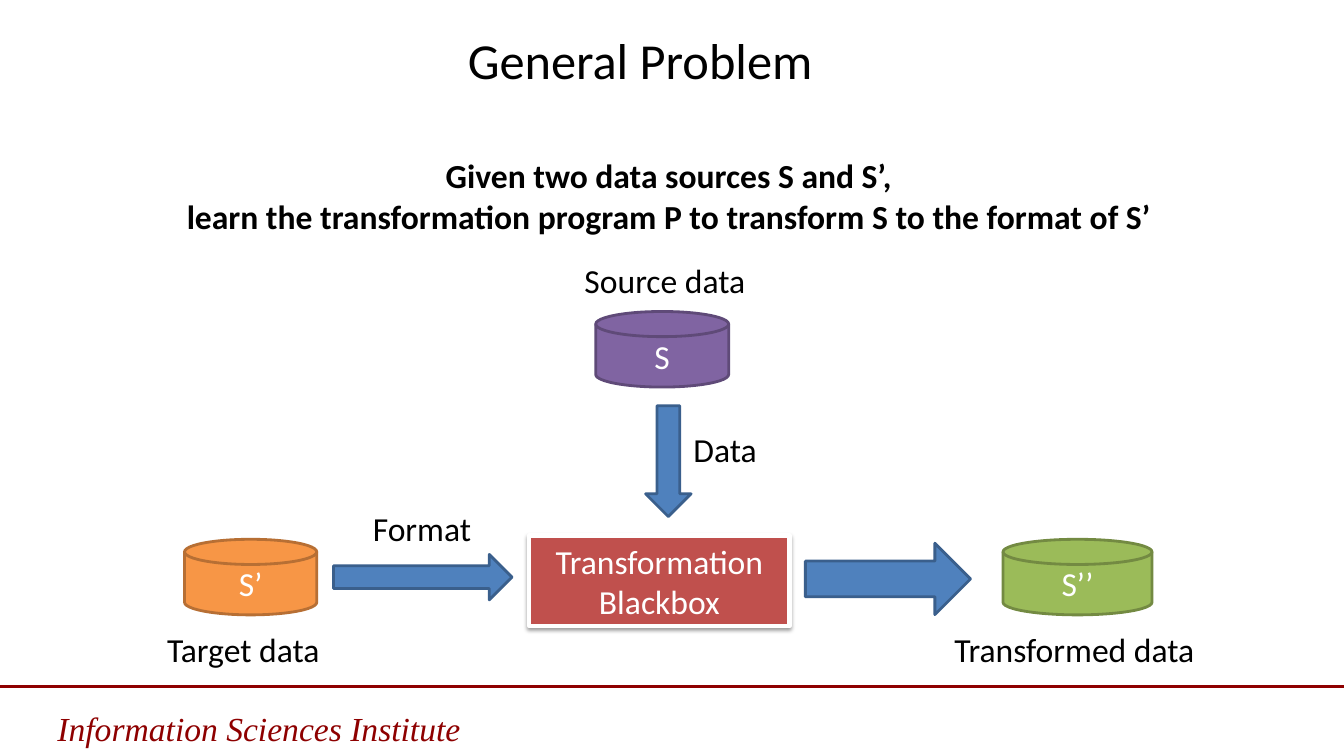
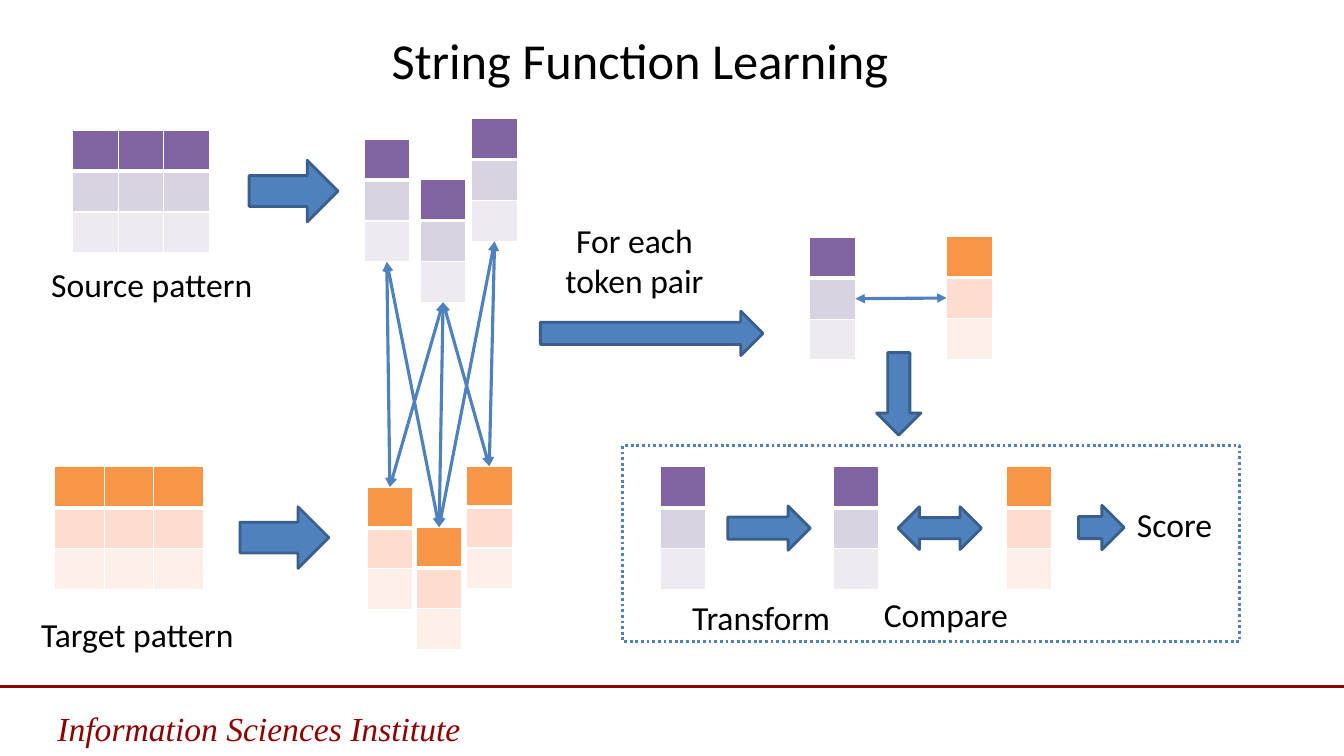
"""Build two slides that explain learning data transformations."""
from dataclasses import dataclass
from itertools import product
from typing import Any, NamedTuple

from lxml import etree
from pptx import Presentation
from pptx import util as u
from pptx.dml.color import RGBColor
from pptx.enum import dml, shapes, text
from pptx.oxml import ns

Pt = u.Pt
Kind = shapes.MSO_SHAPE


@dataclass(frozen=True)
class Theme:
    """Colours and sizes used on every slide."""

    black: str = "000000"
    white: str = "FFFFFF"
    maroon: str = "8E0000"
    blue: str = "4F81BD"
    blue_edge: str = "3A5F8C"
    red: str = "C0504D"
    purple: str = "8064A2"
    purple_edge: str = "5F4A78"
    orange: str = "F79646"
    orange_edge: str = "B76F34"
    green: str = "9BBB59"
    green_edge: str = "738A42"
    source_rows: tuple[str, ...] = ("8064A2", "D8D3E0", "EDEAF0")
    target_rows: tuple[str, ...] = ("F79646", "FCDDCF", "FDEFE9")
    font: str = "Calibri"
    footer_font: str = "Times New Roman"
    title_size: float = 36
    body_size: float = 24
    outline: float = 2
    connector: float = 2.25


THEME = Theme()
SLIDE_WIDTH, SLIDE_HEIGHT = 960, 540
CELL_WIDTH, CELL_HEIGHT = 32.6, 29.25
COLUMN_HEIGHT = 3 * CELL_HEIGHT


class Box(NamedTuple):
    """A rectangle in points."""

    left: float
    top: float
    width: float
    height: float

    def lengths(self) -> list[u.Length]:
        """Return the four values as lengths."""
        return [Pt(value) for value in self]


class Point(NamedTuple):
    """A position in points."""

    x: float
    y: float


@dataclass(frozen=True)
class Disk:
    """A labelled data store."""

    label: str
    box: Box
    fill: str
    edge: str


@dataclass(frozen=True)
class Arrow:
    """A block arrow."""

    box: Box
    kind: Any = Kind.RIGHT_ARROW
    rotation: float = 0


@dataclass(frozen=True)
class Label:
    """A caption in body type."""

    words: str
    box: Box
    centred: bool = False
    bold: bool = False
    wrap: bool = True


def colour(code: str) -> RGBColor:
    """Turn a hex code into a colour."""
    return RGBColor.from_string(code)


def add_element(parent: Any, tag: str, **attributes: Any) -> Any:
    """Append a drawing element to a parent."""
    values = {name: str(value) for name, value in attributes.items()}
    return etree.SubElement(parent, ns.qn(tag), values)


def write_text(frame: Any, words: str, *, size: float = THEME.body_size,
               font: str = THEME.font, ink: str = THEME.black,
               bold: bool = False, italic: bool = False,
               centred: bool = False, middle: bool = False,
               wrap: bool = True, grow: bool = False) -> None:
    """Write formatted lines as paragraphs of a text frame."""
    frame.word_wrap = wrap
    frame.auto_size = (text.MSO_AUTO_SIZE.SHAPE_TO_FIT_TEXT if grow
                       else text.MSO_AUTO_SIZE.NONE)
    frame.vertical_anchor = (text.MSO_ANCHOR.MIDDLE if middle
                             else text.MSO_ANCHOR.TOP)
    frame.text = words
    for paragraph in frame.paragraphs:
        paragraph.alignment = (text.PP_ALIGN.CENTER if centred
                               else text.PP_ALIGN.LEFT)
        for run in paragraph.runs:
            run.font.name, run.font.size = font, Pt(size)
            run.font.bold, run.font.italic = bold, italic
            run.font.color.rgb = colour(ink)


def add_text(slide: Any, box: Box, words: str, **text_format: Any) -> None:
    """Add a text box."""
    shape = slide.shapes.add_textbox(*box.lengths())
    write_text(shape.text_frame, words, **text_format)


def add_label(slide: Any, label: Label) -> None:
    """Add a caption."""
    add_text(slide, label.box, label.words, centred=label.centred,
             bold=label.bold, wrap=label.wrap, grow=True)


def add_block(slide: Any, kind: Any, box: Box, fill: str | None, edge: str,
              width: float = THEME.outline) -> Any:
    """Add a preset shape without a shadow."""
    shape = slide.shapes.add_shape(kind, *box.lengths())
    shape.shadow.inherit = False
    if fill is None:
        shape.fill.background()
    else:
        shape.fill.solid()
        shape.fill.fore_color.rgb = colour(fill)
    shape.line.color.rgb = colour(edge)
    shape.line.width = Pt(width)
    return shape


def add_disk(slide: Any, disk: Disk) -> None:
    """Add a labelled data store."""
    shape = add_block(slide, Kind.FLOWCHART_MAGNETIC_DISK, disk.box,
                      disk.fill, disk.edge)
    write_text(shape.text_frame, disk.label, ink=THEME.white,
               centred=True, middle=True)


def add_arrow(slide: Any, arrow: Arrow) -> None:
    """Add a block arrow."""
    shape = add_block(slide, arrow.kind, arrow.box, THEME.blue, THEME.blue_edge)
    shape.rotation = arrow.rotation


def add_blackbox(slide: Any, box: Box) -> None:
    """Add the transformation box with its soft shadow."""
    shape = add_block(slide, Kind.RECTANGLE, box, THEME.red, THEME.white, 3)
    write_text(shape.text_frame, "Transformation\nBlackbox",
               ink=THEME.white, centred=True, middle=True)
    effects = shape._element.spPr.find(ns.qn("a:effectLst"))
    shadow = add_element(effects, "a:outerShdw", blurRad=Pt(3.1), dist=Pt(1.6),
                         dir=5400000, rotWithShape=0)
    shade = add_element(shadow, "a:srgbClr", val=THEME.black)
    add_element(shade, "a:alpha", val=38000)


def add_line(slide: Any, start: Point, end: Point, ink: str,
             arrowheads: bool = False) -> None:
    """Add a straight line, optionally with arrowheads at both ends."""
    line = slide.shapes.add_connector(
        shapes.MSO_CONNECTOR.STRAIGHT, *(Pt(value) for value in start + end))
    line.line.color.rgb = colour(ink)
    line.line.width = Pt(THEME.connector)
    if arrowheads:
        for tag in ("a:headEnd", "a:tailEnd"):
            add_element(line.line._get_or_add_ln(), tag, type="triangle")
    add_element(line._element.spPr, "a:effectLst")


def add_grid(slide: Any, corner: Point, row_fills: tuple[str, ...],
             columns: int = 1, cell_width: float = CELL_WIDTH) -> None:
    """Add an empty table with one fill per row and white borders."""
    box = Box(*corner, columns * cell_width, len(row_fills) * CELL_HEIGHT)
    table = slide.shapes.add_table(len(row_fills), columns, *box.lengths()).table
    table.horz_banding = False
    for column in table.columns:
        column.width = Pt(cell_width)
    for index, (row, fill) in enumerate(zip(table.rows, row_fills)):
        row.height = Pt(CELL_HEIGHT)
        widths = {"L": 1, "R": 1, "T": 3 if index == 1 else 1,
                  "B": 3 if index == 0 else 1}
        for cell in row.cells:
            properties = cell._tc.get_or_add_tcPr()
            for side, width in widths.items():
                border = add_element(properties, f"a:ln{side}", w=Pt(width))
                paint = add_element(border, "a:solidFill")
                add_element(paint, "a:srgbClr", val=THEME.white)
            cell.fill.solid()
            cell.fill.fore_color.rgb = colour(fill)


def add_slide(presentation: Any, title: str) -> Any:
    """Add a slide with the shared rule, footer and title."""
    slide = presentation.slides.add_slide(presentation.slide_layouts[6])
    add_line(slide, Point(0, 490.3), Point(SLIDE_WIDTH, 490.3), THEME.maroon)
    add_text(slide, Box(34, 502, 473, 36.5), "Information Sciences Institute",
             font=THEME.footer_font, ink=THEME.maroon, italic=True, grow=True)
    add_text(slide, Box(48, 17.3, 818.6, 50.4), title,
             size=THEME.title_size, centred=True, middle=True)
    return slide


def build_problem(presentation: Any) -> None:
    """Draw the general problem."""
    slide = add_slide(presentation, "General Problem")
    for disk in (
        Disk("S", Box(425.5, 222.5, 95, 54), THEME.purple, THEME.purple_edge),
        Disk("S’", Box(131.8, 385.2, 94.5, 54), THEME.orange, THEME.orange_edge),
        Disk("S’’", Box(716.4, 385.2, 106.5, 54), THEME.green, THEME.green_edge),
    ):
        add_disk(slide, disk)
    for arrow in (
        Arrow(Box(238.3, 396, 127.5, 32.5)),
        Arrow(Box(437.8, 313.2, 79.2, 32.5), rotation=90),
        Arrow(Box(575.3, 388, 118, 51)),
    ):
        add_arrow(slide, arrow)
    add_blackbox(slide, Box(378, 382.5, 186, 64.8))
    statement = ("Given two data sources S and S’, \n"
                 "learn the transformation program P to transform S "
                 "to the format of S’ ")
    for label in (
        Label(statement, Box(17.3, 107.3, 926, 65.5), centred=True, bold=True),
        Label("Source data", Box(410.4, 182.2, 134, 36)),
        Label("Target data", Box(112.3, 445.7, 134, 36)),
        Label("Transformed data", Box(674.6, 445.7, 214.5, 36)),
        Label("Format", Box(259.2, 359.3, 85, 36), wrap=False),
        Label("Data", Box(488.2, 303.1, 60.5, 36), wrap=False),
    ):
        add_label(slide, label)


def build_learning(presentation: Any) -> None:
    """Draw how string functions are learned from token pairs."""
    slide = add_slide(presentation, "String Function Learning")
    add_grid(slide, Point(51.8, 93), THEME.source_rows, 3)
    add_grid(slide, Point(38.9, 333.4), THEME.target_rows, 3, 35.5)
    sources = (Point(260, 99.4), Point(300.2, 128.2), Point(337, 84.7))
    targets = (Point(262.2, 347.8), Point(297.4, 376.4), Point(333.2, 333))
    pair = (Point(578.4, 169.5), Point(676.2, 169))
    scored = tuple(Point(x, 333.4) for x in (471.6, 595.2, 718.6))
    for corner in (*sources, pair[0], *scored[:2]):
        add_grid(slide, corner, THEME.source_rows)
    for corner in (*targets, pair[1], scored[2]):
        add_grid(slide, corner, THEME.target_rows)
    middle = CELL_WIDTH / 2
    for (i, source), (j, target) in product(enumerate(sources), enumerate(targets)):
        if abs(i - j) < 2:
            add_line(slide, Point(source.x + middle, source.y + COLUMN_HEIGHT),
                     Point(target.x + middle, target.y), THEME.blue, True)
    add_line(slide, Point(pair[0].x + CELL_WIDTH, pair[0].y + COLUMN_HEIGHT / 2),
             Point(pair[1].x, pair[1].y + COLUMN_HEIGHT / 2), THEME.blue, True)
    panel = add_block(slide, Kind.RECTANGLE, Box(444.8, 318.2, 440.8, 140.2),
                      None, THEME.blue)
    panel.line.dash_style = dml.MSO_LINE.ROUND_DOT
    for arrow in (
        Arrow(Box(178, 114.5, 63.5, 44)),
        Arrow(Box(171.4, 362, 63.5, 44)),
        Arrow(Box(519.8, 361.4, 59, 31.7)),
        Arrow(Box(770.4, 361, 32.5, 31.7)),
        Arrow(Box(641.5, 362, 59.5, 30.5), Kind.LEFT_RIGHT_ARROW),
        Arrow(Box(386, 222.3, 159, 31.7)),
        Arrow(Box(612.5, 265.5, 59, 31.7), rotation=90),
    ):
        add_arrow(slide, arrow)
    for label in (
        Label("Source pattern", Box(29.5, 185, 168, 36)),
        Label("Target pattern", Box(22.3, 435, 181.5, 36)),
        Label("For each\ntoken pair", Box(379.4, 153.4, 147.6, 65.5), centred=True),
        Label("Transform", Box(487.4, 422.6, 124, 36)),
        Label("Compare", Box(624.2, 420.5, 114.5, 36)),
        Label("Score", Box(805, 356.4, 87, 36)),
    ):
        add_label(slide, label)


def main() -> None:
    """Build and save the presentation."""
    presentation = Presentation()
    presentation.slide_width = Pt(SLIDE_WIDTH)
    presentation.slide_height = Pt(SLIDE_HEIGHT)
    build_problem(presentation)
    build_learning(presentation)
    presentation.save("out.pptx")


if __name__ == "__main__":
    main()
